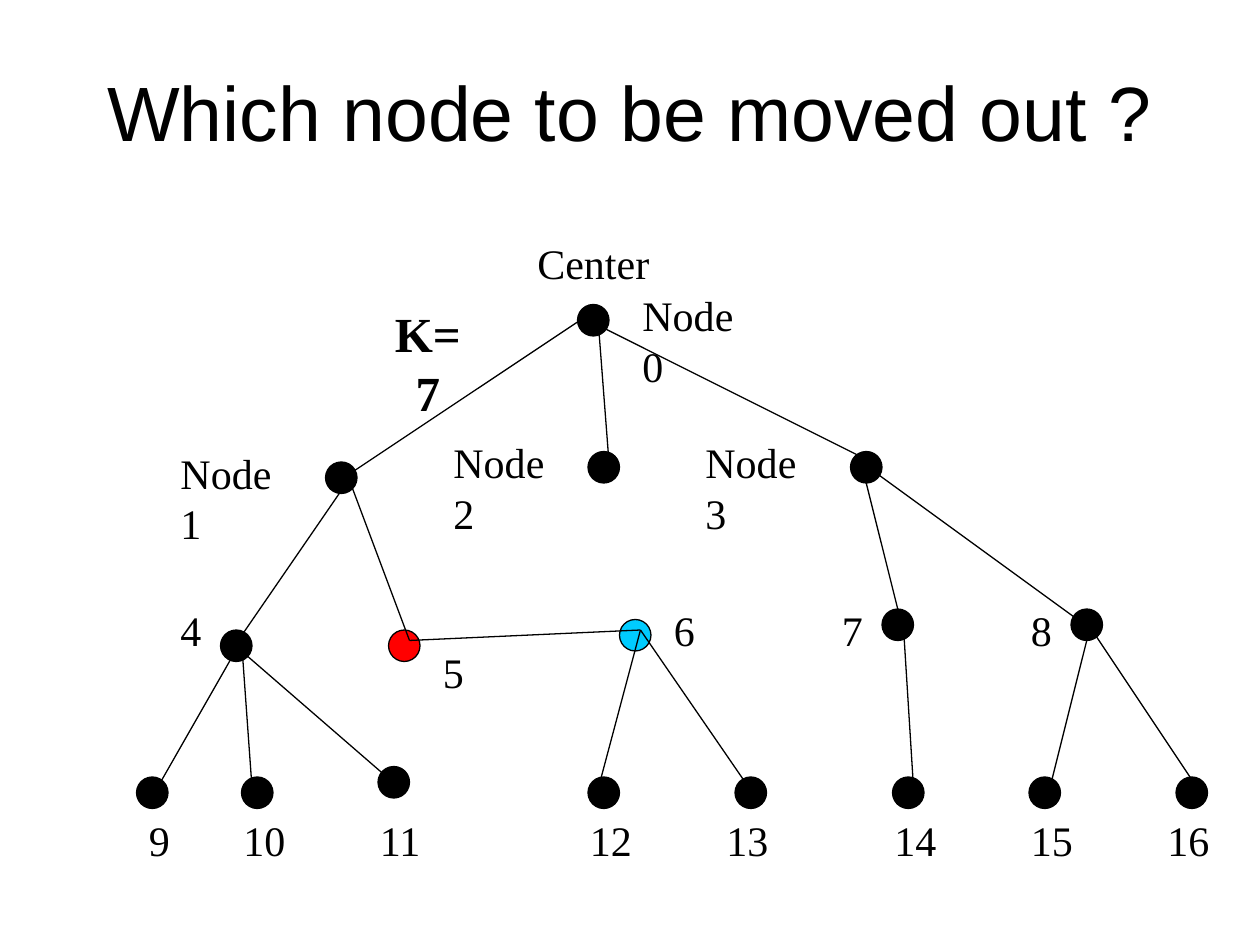
from lxml import etree
from pptx import Presentation
from pptx.dml.color import RGBColor
from pptx.enum.shapes import MSO_CONNECTOR, MSO_SHAPE
from pptx.enum.text import MSO_ANCHOR, MSO_AUTO_SIZE, PP_ALIGN
from pptx.oxml.ns import qn
from pptx.util import Inches, Pt

OVAL = MSO_SHAPE.OVAL
STRAIGHT = MSO_CONNECTOR.STRAIGHT
MIDDLE = MSO_ANCHOR.MIDDLE
FIT_SHAPE = MSO_AUTO_SIZE.SHAPE_TO_FIT_TEXT
LEFT, CENTER = PP_ALIGN.LEFT, PP_ALIGN.CENTER

BLACK = RGBColor(0x00, 0x00, 0x00)
RED = RGBColor(0xFF, 0x00, 0x00)
SKY = RGBColor(0x00, 0xCC, 0xFF)

COLUMNS, ROWS = 120, 90
SLIDE_WIDTH, SLIDE_HEIGHT = Inches(10), Inches(7.5)
NODE_SIZE = 3
LEAF_ROW, LEAF_LABEL_ROW = 74, 77
LABEL_WIDTHS = {"Center": 13.1, "Node": 14, "9": 4.3, "99": 6.4}

INNER_NODES = [
    ("Node 0", (55, 29), (60, 27), BLACK),
    ("Node 1", (31, 44), (16, 42), BLACK),
    ("Node 2", (56, 43), (42, 41), BLACK),
    ("Node 3", (81, 43), (66, 41), BLACK),
    ("4", (21, 60), (16, 57), BLACK),
    ("5", (37, 60), (41, 61), RED),
    ("6", (59, 59), (63, 57), SKY),
    ("7", (84, 58), (79, 57), BLACK),
    ("8", (102, 58), (97, 57), BLACK),
]
LEAVES = [
    ("9", 13, LEAF_ROW, 13),
    ("10", 23, LEAF_ROW, 22),
    ("11", 36, LEAF_ROW - 1, 35),
    ("12", 56, LEAF_ROW, 55),
    ("13", 70, LEAF_ROW, 68),
    ("14", 85, LEAF_ROW, 84),
    ("15", 98, LEAF_ROW, 97),
    ("16", 112, LEAF_ROW, 110),
]
BRANCHES = [
    ((56, 30), (32, 46)),
    ((57, 31), (58, 44)),
    ((57, 31), (83, 44)),
    ((33, 46), (22, 62)),
    ((33, 45), (39, 61)),
    ((82, 44), (86, 60)),
    ((82, 44), (104, 60)),
    ((23, 61), (15, 75)),
    ((23, 61), (24, 75)),
    ((23, 62), (38, 75)),
    ((61, 60), (57, 75)),
    ((61, 60), (72, 76)),
    ((86, 59), (87, 75)),
    ((104, 59), (100, 75)),
    ((104, 60), (114, 75)),
    ((61, 60), (39, 61)),
]


def across(columns):
    return round(SLIDE_WIDTH * columns / COLUMNS)


def down(rows):
    return round(SLIDE_HEIGHT * rows / ROWS)


def style_text(frame, size, font_name, align, bold=False):
    paragraph = frame.paragraphs[0]
    paragraph.alignment = align
    font = paragraph.runs[0].font
    font.size, font.name, font.bold = Pt(size), font_name, bold
    font.color.rgb = BLACK


def set_title(slide, text):
    title = slide.shapes.title
    title.left, title.top = across(9), down(5)
    title.width, title.height = across(102), down(11)
    title.text_frame.text = text
    title.text_frame.vertical_anchor = MIDDLE
    style_text(title.text_frame, 44, "Arial", CENTER)


def add_node(slide, column, row, color):
    node = slide.shapes.add_shape(
        OVAL, across(column), down(row), across(NODE_SIZE), down(NODE_SIZE))
    node.shadow.inherit = False
    node.fill.solid()
    node.fill.fore_color.rgb = color
    node.line.color.rgb = BLACK
    node.line.width = Pt(0.75)


def add_branch(slide, start, end):
    branch = slide.shapes.add_connector(
        STRAIGHT, across(start[0]), down(start[1]), across(end[0]), down(end[1]))
    branch.line.color.rgb = BLACK
    branch.line.width = Pt(0.75)
    etree.SubElement(branch._element.spPr, qn("a:effectLst"))


def add_label(slide, text, column, row, width, height=6, size=24,
              align=LEFT, bold=False):
    label = slide.shapes.add_textbox(
        across(column), down(row), across(width), down(height))
    frame = label.text_frame
    frame.word_wrap = False
    frame.auto_size = FIT_SHAPE
    frame.text = text
    style_text(frame, size, "Times New Roman", align, bold)


def label_width(text):
    kind = "9" * len(text) if text.isdigit() else text.split()[0]
    return LABEL_WIDTHS[kind]


def main():
    presentation = Presentation()
    presentation.slide_width, presentation.slide_height = SLIDE_WIDTH, SLIDE_HEIGHT
    slide = presentation.slides.add_slide(presentation.slide_layouts[5])
    set_title(slide, "Which node to be moved out ?")

    nodes = INNER_NODES + [
        (name, (column, row), (label_column, LEAF_LABEL_ROW), BLACK)
        for name, column, row, label_column in LEAVES]
    for _, position, _, color in nodes:
        add_node(slide, *position, color)
    for start, end in BRANCHES:
        add_branch(slide, start, end)
    for name, _, label_position, _ in nodes:
        add_label(slide, name, *label_position, label_width(name))
    add_label(slide, "Center", 50, 22, label_width("Center"))
    add_label(slide, "K=7", 35.3, 28.3, 10.9, 6.8, 28, CENTER, True)

    presentation.save("out.pptx")


if __name__ == "__main__":
    main()
